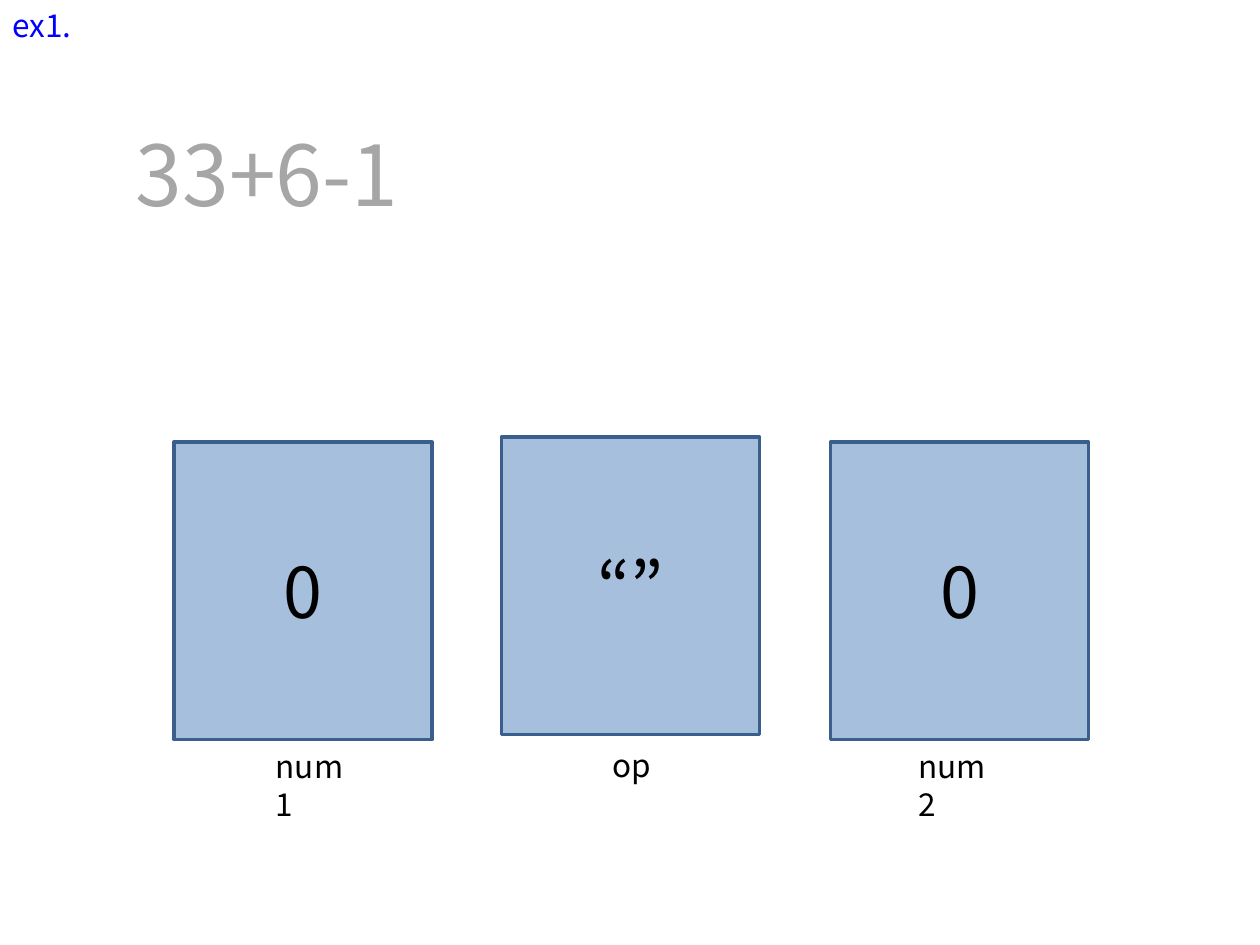
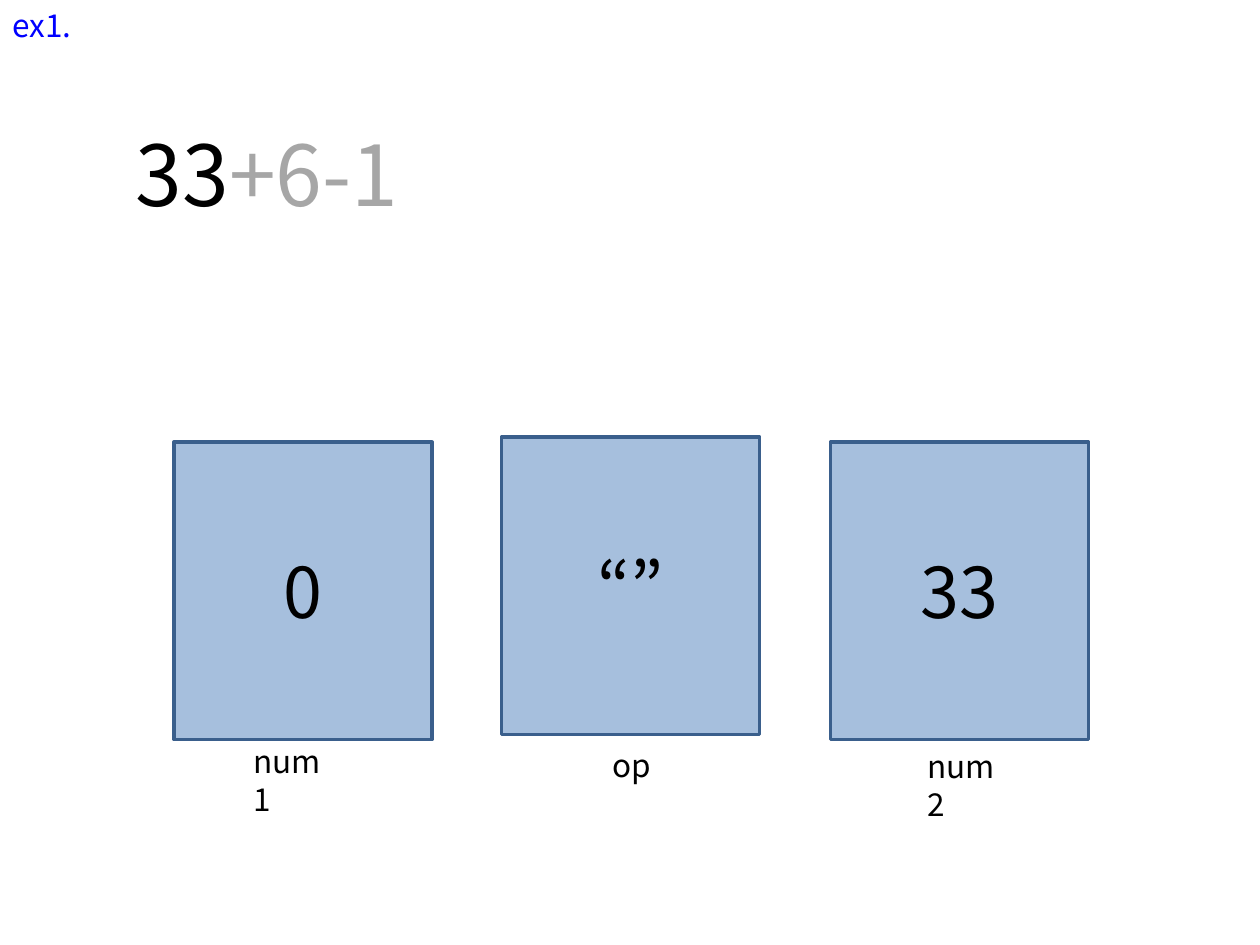
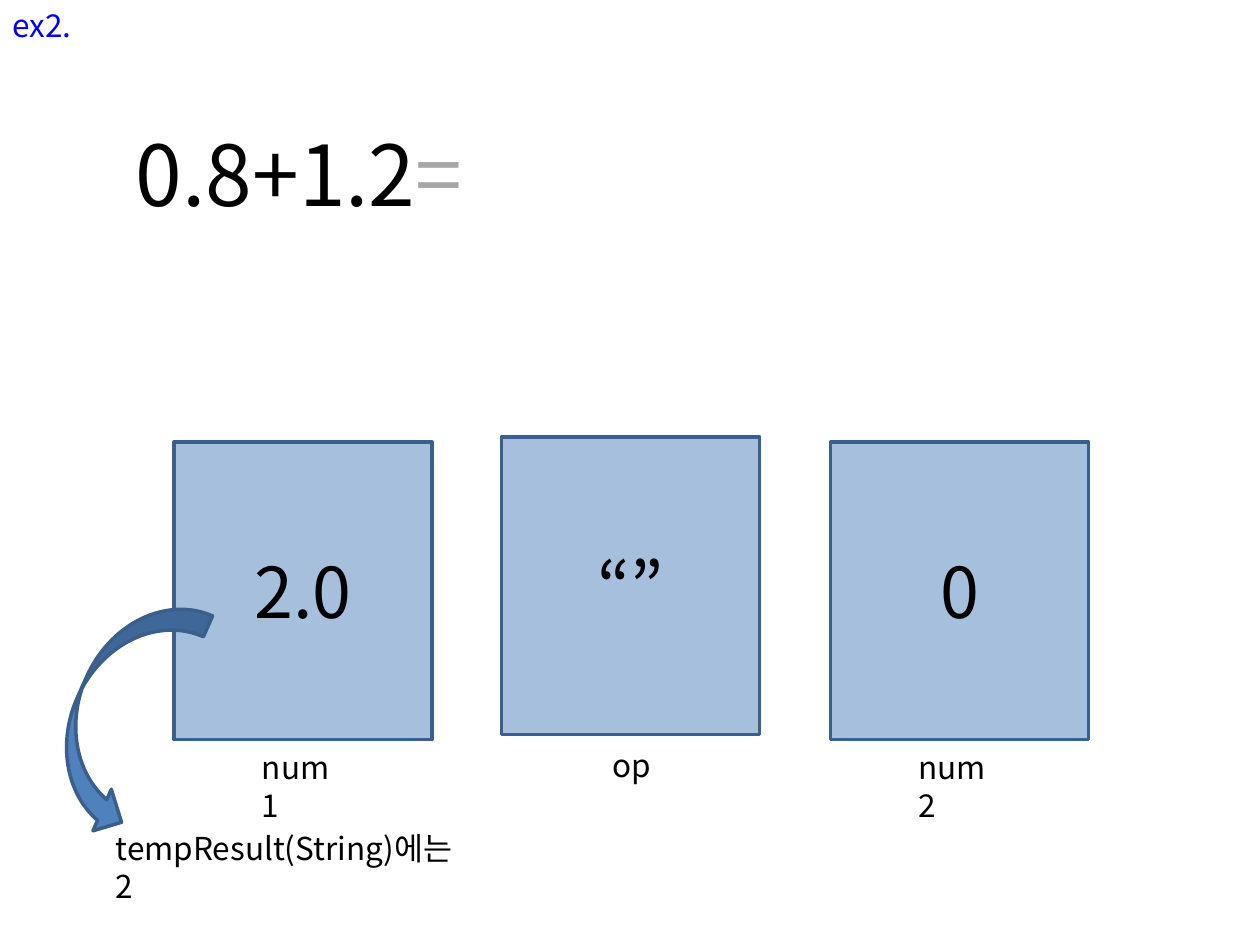
import pptx
import pptx.util
import pptx.dml.color
import pptx.enum.shapes
import pptx.enum.text
import pptx.oxml
import pptx.oxml.ns

Inches = pptx.util.Inches
Pt = pptx.util.Pt
KIND = pptx.enum.shapes.MSO_SHAPE
ALIGN = pptx.enum.text.PP_ALIGN
ANCHOR = pptx.enum.text.MSO_ANCHOR
FIT = pptx.enum.text.MSO_AUTO_SIZE

# Shared look
HUE = {"ink": "000000", "dim": "A6A6A6", "tag": "0000FF",
       "fill": "4F81BD", "edge": "3A5F8C"}
FONT = "Noto Sans CJK KR"
BOX = {"word_wrap": True, "auto_size": FIT.SHAPE_TO_FIT_TEXT}
CELL = {"word_wrap": True, "vertical_anchor": ANCHOR.MIDDLE}

# Registers, back to front: label, left, top, label width
CELLS = [("num1", 1.38, 3.51, 0.85),
         ("num2", 6.59, 3.51, 0.85),
         ("op", 3.98, 3.47, 0.52)]
WIDE, HIGH = 2.05, 2.36

# Each step: tag, done part, part to come, values, label places
STEPS = [
    ("ex1. ", "", "33+6-1", 2.44, ("0", "0", "“”"),
     ((2.09, 5.88), (7.19, 5.88), (4.76, 5.87))),
    ("ex1. ", "33", "+6-1", 2.44, ("0", "33", "“”"),
     ((1.91, 5.84), (7.26, 5.88), (4.76, 5.87))),
    ("ex2. ", "0.8+1.2", "=", 2.93, ("2.0", "0", "“”"),
     ((1.98, 5.89), (7.19, 5.89), (4.76, 5.87))),
]


def rgb(name):
    return pptx.dml.color.RGBColor.from_string(HUE[name])


def style(item, form):
    for key, val in form.items():
        setattr(item, key, val)


def write(frame, runs, size, form, align=ALIGN.LEFT):
    """Fill a text frame with (text, colour) runs."""
    style(frame, form)
    para = frame.paragraphs[0]
    para.alignment = align
    for text, hue in runs:
        if not text:
            continue
        run = para.add_run()
        run.text = text
        style(run.font, {"size": Pt(size), "name": FONT})
        run.font.color.rgb = rgb(hue)
        east = pptx.oxml.parse_xml(
            f'<a:ea {pptx.oxml.ns.nsdecls("a")} typeface="{FONT}"/>')
        run.font._element.find(pptx.oxml.ns.qn("a:latin")).addnext(east)


def label(shapes, left, top, wide, runs, size=18, high=0.4):
    box = shapes.add_textbox(Inches(left), Inches(top),
                             Inches(wide), Inches(high))
    write(box.text_frame, runs, size, BOX)


def solid(shapes, kind, left, top, wide, high, alpha=None):
    """Add a filled, outlined shape; alpha is a percentage."""
    shape = shapes.add_shape(kind, Inches(left), Inches(top),
                             Inches(wide), Inches(high))
    shape.shadow.inherit = False
    shape.fill.solid()
    shape.fill.fore_color.rgb = rgb("fill")
    shape.line.color.rgb = rgb("edge")
    shape.line.width = Pt(2)
    if alpha:
        tone = shape.fill._xPr.find(".//" + pptx.oxml.ns.qn("a:srgbClr"))
        tone.append(pptx.oxml.parse_xml(
            f'<a:alpha {pptx.oxml.ns.nsdecls("a")} val="{alpha * 1000}"/>'))
    return shape


def cell(slide, part, value, place):
    """Group a register square with its label."""
    name, left, top, wide = part
    shapes = slide.shapes.add_group_shape().shapes
    square = solid(shapes, KIND.RECTANGLE, left, top, WIDE, HIGH, 50)
    write(square.text_frame, [(value, "ink")], 40, CELL, ALIGN.CENTER)
    label(shapes, *place, wide, [(name, "ink")])


def result(slide):
    """Arrow from num1 to the note on the stored result."""
    arrow = solid(slide.shapes, KIND.CURVED_RIGHT_ARROW,
                  0.6, 4.66, 0.72, 1.97)
    arrow.rotation = 23.8
    label(slide.shapes, 0.82, 6.53, 3.03,
          [("tempResult(String)에는 2", "ink")])


def main():
    deck = pptx.Presentation()
    style(deck, {"slide_width": Inches(10), "slide_height": Inches(7.5)})
    for tag, done, rest, wide, values, places in STEPS:
        slide = deck.slides.add_slide(deck.slide_layouts[6])
        # Expression being read
        label(slide.shapes, 0.98, 0.92, wide,
              [(done, "ink"), (rest, "dim")], 48, 0.91)
        # Registers
        for part, value, place in zip(CELLS, values, places):
            cell(slide, part, value, place)
        if rest == "=":
            result(slide)
        # Example tag
        label(slide.shapes, 0, 0, 0.74, [(tag, "tag")])
    deck.save("out.pptx")


main()
